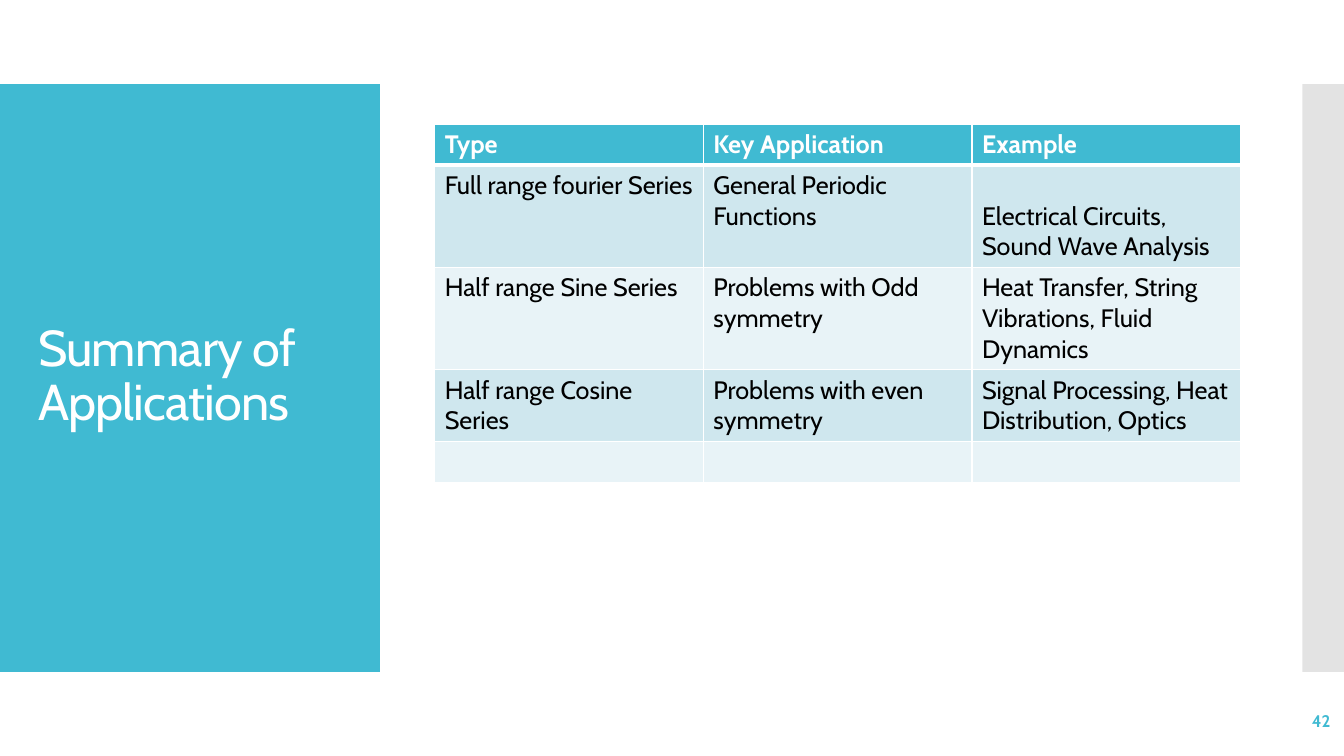
from dataclasses import dataclass

from lxml.etree import SubElement
from pptx import Presentation
from pptx.dml.color import RGBColor
from pptx.enum.shapes import MSO_SHAPE
from pptx.enum.text import MSO_ANCHOR, MSO_AUTO_SIZE, PP_ALIGN
from pptx.oxml.ns import qn
from pptx.util import Pt


@dataclass(frozen=True)
class Theme:
    font: str = "Cabin"
    accent: str = "40BAD2"
    white: str = "FFFFFF"
    black: str = "000000"
    grey: str = "C8C8C8"
    bands: tuple = ("CFE7EE", "E8F3F7")
    title_size: float = 36
    body_size: float = 18
    number_size: float = 12


class SlideBuilder:
    def __init__(self, slide, theme):
        self.slide = slide
        self.theme = theme

    def style(self, paragraph, size, color, bold=False, align=PP_ALIGN.LEFT):
        paragraph.alignment = align
        font = paragraph.font
        font.name, font.size, font.bold = self.theme.font, Pt(size), bold
        font.color.rgb = RGBColor.from_string(color)

    def panel(self, left, top, width, height, color, opacity=100):
        panel = self.slide.shapes.add_shape(
            MSO_SHAPE.RECTANGLE, Pt(left), Pt(top), Pt(width), Pt(height))
        panel.shadow.inherit = False
        panel.fill.solid()
        panel.fill.fore_color.rgb = RGBColor.from_string(color)
        panel.line.fill.background()
        if opacity < 100:
            tint = panel.element.spPr.find(qn("a:solidFill"))[0]
            SubElement(tint, qn("a:alpha"), val=str(opacity * 1000))
        # Panels lie behind the title
        self.slide.shapes.title.element.addprevious(panel.element)

    def title(self, text, left, top, width, height):
        title = self.slide.shapes.title
        title.left, title.top = Pt(left), Pt(top)
        title.width, title.height = Pt(width), Pt(height)
        frame = title.text_frame
        frame.text = text
        frame.word_wrap = True
        frame.auto_size = MSO_AUTO_SIZE.NONE
        frame.vertical_anchor = MSO_ANCHOR.MIDDLE
        heading = frame.paragraphs[0]
        heading.line_spacing = 0.9
        self.style(heading, self.theme.title_size, self.theme.white)
        heading.font._element.set("spc", "-60")

    def text(self, text, left, top, width, height, size, color, bold, align):
        box = self.slide.shapes.add_textbox(
            Pt(left), Pt(top), Pt(width), Pt(height))
        frame = box.text_frame
        frame.text = text
        frame.word_wrap = True
        frame.vertical_anchor = MSO_ANCHOR.MIDDLE
        self.style(frame.paragraphs[0], size, color, bold, align)

    def borders(self, cell, bottom):
        properties = cell._tc.get_or_add_tcPr()
        for side, width in (("L", 1), ("R", 1), ("T", 1), ("B", bottom)):
            line = SubElement(properties, qn(f"a:ln{side}"), w=str(Pt(width)))
            fill = SubElement(line, qn("a:solidFill"))
            SubElement(fill, qn("a:srgbClr"), val=self.theme.white)

    def table(self, rows, left, top, width, heights):
        theme = self.theme
        table = self.slide.shapes.add_table(
            len(rows), len(rows[0]), Pt(left), Pt(top),
            Pt(width), Pt(sum(heights))).table
        table.horz_banding = False
        for row, height in zip(table.rows, heights):
            row.height = Pt(height)
        for r, row in enumerate(rows):
            header = r == 0
            for c, text in enumerate(row):
                cell = table.cell(r, c)
                self.borders(cell, 3 if header else 1)
                cell.fill.solid()
                cell.fill.fore_color.rgb = RGBColor.from_string(
                    theme.accent if header else theme.bands[(r - 1) % 2])
                cell.text = text
                self.style(cell.text_frame.paragraphs[0], theme.body_size,
                           theme.white if header else theme.black, header)
        return table


def main():
    theme = Theme()
    presentation = Presentation()
    presentation.slide_width, presentation.slide_height = Pt(960), Pt(540)
    slide = presentation.slides.add_slide(presentation.slide_layouts[5])
    builder = SlideBuilder(slide, theme)

    # Side panels and title
    builder.panel(0, 60, 271.3, 420, theme.accent)
    builder.panel(930.3, 60, 29.7, 420, theme.grey, opacity=50)
    builder.title("Summary of Applications", 20, 88.6, 232, 362)

    # Applications of each series
    applications = [
        ("Type", "Key Application", "Example"),
        ("Full range fourier Series", "General Periodic Functions",
         "Electrical Circuits, Sound Wave Analysis"),
        ("Half range Sine Series", "Problems with Odd symmetry",
         "Heat Transfer, String Vibrations, Fluid Dynamics"),
        ("Half range Cosine Series", "Problems with even symmetry",
         "Signal Processing, Heat Distribution, Optics"),
        ("", "", ""),
    ]
    summary = builder.table(applications, 310.5, 88.6, 575.7,
                            (29.2, 73, 73, 51, 29.2))
    # The first example starts one line lower
    summary.cell(1, 2).margin_top = Pt(25.6)

    # Slide number
    builder.text("42", 837.5, 500.5, 120, 29, theme.number_size,
                 theme.accent, True, PP_ALIGN.RIGHT)

    presentation.save("out.pptx")


if __name__ == "__main__":
    main()
